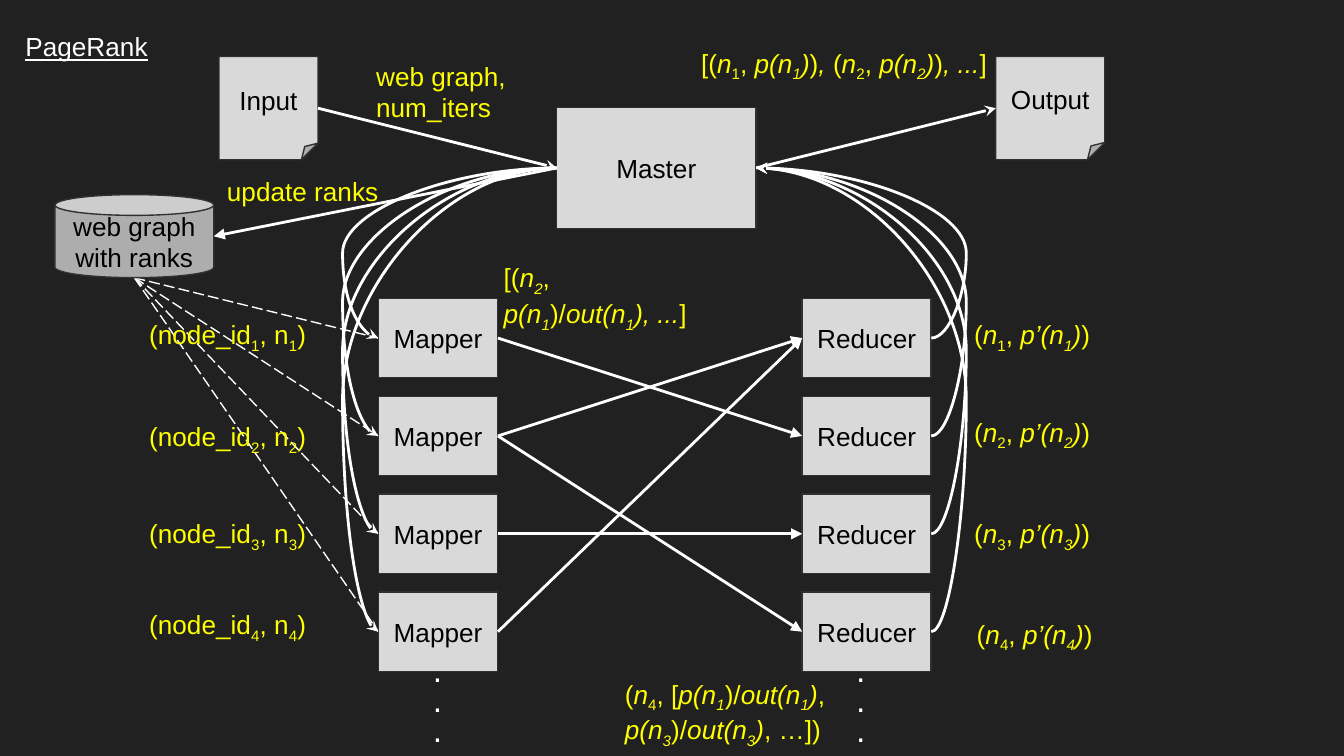
"""Build the PageRank map-reduce data flow slide."""
import itertools
from dataclasses import dataclass

import lxml.etree
import pptx
import pptx.dml.color
import pptx.enum.dml
import pptx.enum.shapes
import pptx.enum.text
import pptx.oxml.ns
import pptx.util

Cm, Pt, qn = pptx.util.Cm, pptx.util.Pt, pptx.oxml.ns.qn
ALIGN, ANCHOR = pptx.enum.text.PP_ALIGN, pptx.enum.text.MSO_ANCHOR
PRESET, ROUTE = pptx.enum.shapes.MSO_SHAPE, pptx.enum.shapes.MSO_CONNECTOR

COLORS = {
    "background": "212121",
    "node": "D9D9D9",
    "store": "ADADAD",
    "outline": "303030",
    "dark": "000000",
    "light": "FFFFFF",
    "label": "FFFF00",
}


@dataclass(frozen=True)
class Node:
    text: str
    left: float
    top: float
    width: float
    height: float
    preset: PRESET = PRESET.RECTANGLE
    fill: str = "node"

    @property
    def middle(self) -> float:
        return self.top + self.height / 2

    @property
    def west(self) -> tuple[float, float]:
        return self.left, self.middle

    @property
    def east(self) -> tuple[float, float]:
        return self.left + self.width, self.middle

    @property
    def south(self) -> tuple[float, float]:
        return self.left + self.width / 2, self.top + self.height


@dataclass(frozen=True)
class Label:
    text: str
    left: float
    top: float
    width: float
    height: float = 1.14


def rgb(name: str) -> pptx.dml.color.RGBColor:
    return pptx.dml.color.RGBColor.from_string(COLORS[name])


def marked_characters(text: str):
    """Yield characters with their style: * toggles italic, ~ lowers the next one."""
    italic = lowered = False
    for character in text:
        if character == "*":
            italic = not italic
        elif character == "~":
            lowered = True
        else:
            yield character, (italic, lowered)
            lowered = False


def write_text(frame, text: str, *, color: str = "label", size: float = 14,
               align=ALIGN.LEFT, anchor=ANCHOR.TOP, underline: bool = False,
               spacing: float = 1.0) -> None:
    frame.word_wrap = True
    frame.auto_size = pptx.enum.text.MSO_AUTO_SIZE.NONE
    frame.vertical_anchor = anchor
    frame.margin_left = frame.margin_right = Cm(0.25)
    frame.margin_top = frame.margin_bottom = Cm(0.25)
    for index, line in enumerate(text.split("\n")):
        paragraph = frame.add_paragraph() if index else frame.paragraphs[0]
        paragraph.alignment = align
        paragraph.line_spacing = spacing
        for style, group in itertools.groupby(marked_characters(line), lambda pair: pair[1]):
            italic, lowered = style
            run = paragraph.add_run()
            run.text = "".join(character for character, _ in group)
            run.font.name = "Arial"
            run.font.size = Pt(size)
            run.font.italic = italic
            run.font.underline = underline
            run.font.color.rgb = rgb(color)
            if lowered:
                run._r.get_or_add_rPr().set("baseline", "-25000")


def draw_node(slide, node: Node) -> None:
    shape = slide.shapes.add_shape(
        node.preset, Cm(node.left), Cm(node.top), Cm(node.width), Cm(node.height))
    shape.shadow.inherit = False
    shape.fill.solid()
    shape.fill.fore_color.rgb = rgb(node.fill)
    shape.line.color.rgb = rgb("outline")
    shape.line.width = Pt(0.75)
    write_text(shape.text_frame, node.text, color="dark", align=ALIGN.CENTER,
               anchor=ANCHOR.MIDDLE)


def draw_label(slide, label: Label, **text_format) -> None:
    box = slide.shapes.add_textbox(
        Cm(label.left), Cm(label.top), Cm(label.width), Cm(label.height))
    write_text(box.text_frame, label.text, **text_format)


def draw_link(slide, start: tuple[float, float], end: tuple[float, float], *,
              head: str = "", dashed: bool = False, bend: float = 0,
              turned: bool = False) -> None:
    route = ROUTE.CURVE if bend else ROUTE.STRAIGHT
    first, last = (end, start) if turned else (start, end)
    link = slide.shapes.add_connector(route, *map(Cm, first + last))
    link.line.color.rgb = rgb("light")
    link.line.width = Pt(0.75 if dashed else 1.5)
    if dashed:
        link.line.dash_style = pptx.enum.dml.MSO_LINE.LONG_DASH
    properties = link._element.spPr
    if head:
        lxml.etree.SubElement(properties.find(qn("a:ln")), qn("a:tailEnd"), type=head)
    if turned:
        properties.find(qn("a:xfrm")).set("rot", "10800000")
    if bend:
        geometry = properties.find(qn("a:prstGeom"))
        guides = geometry.find(qn("a:avLst"))
        if guides is None:
            guides = lxml.etree.SubElement(geometry, qn("a:avLst"))
        lxml.etree.SubElement(guides, qn("a:gd"), name="adj1",
                              fmla=f"val {round(bend * 100000)}")
    lxml.etree.SubElement(properties, qn("a:effectLst"))


def worker_column(text: str, left: float, width: float) -> list[Node]:
    return [Node(text, left, 5.64 + 1.85 * row, width, 1.5) for row in range(4)]


def main() -> None:
    deck = pptx.Presentation()
    deck.slide_width, deck.slide_height = Cm(25.4), Cm(14.29)
    slide = deck.slides.add_slide(deck.slide_layouts[5])
    slide.background.fill.solid()
    slide.background.fill.fore_color.rgb = rgb("background")

    title = slide.shapes.title
    title.left, title.top, title.width, title.height = map(Cm, (0.23, 0.33, 3.3, 1.14))
    write_text(title.text_frame, "PageRank", color="light", underline=True)

    source = Node("Input", 4.14, 1.07, 1.87, 1.95, PRESET.FOLDED_CORNER)
    result = Node("Output", 18.82, 1.07, 2.06, 1.95, PRESET.FOLDED_CORNER)
    master = Node("Master", 10.52, 2.03, 3.77, 2.29)
    store = Node("web graph\nwith ranks", 1.04, 3.68, 3, 1.57, PRESET.CAN, "store")
    mappers = worker_column("Mapper", 7.15, 2.26)
    reducers = worker_column("Reducer", 15.16, 2.44)

    for mapper in mappers:
        draw_link(slide, store.south, mapper.west, dashed=True)
    for node in [source, result, master, *mappers, *reducers]:
        draw_node(slide, node)

    draw_link(slide, source.east, master.west, head="stealth")
    draw_link(slide, master.east, result.west, head="stealth")
    for mapper in mappers:
        draw_link(slide, master.west, mapper.west, head="stealth", bend=1.2)
    for reducer in reducers:
        draw_link(slide, reducer.east, master.east, head="stealth", bend=-0.2, turned=True)
    for sender, receiver in [(0, 1), (1, 0), (2, 2), (3, 0), (1, 3)]:
        draw_link(slide, mappers[sender].east, reducers[receiver].west, head="triangle")

    draw_node(slide, store)
    draw_link(slide, master.west, store.east, head="triangle")

    for left in (7.24, 15.24):
        draw_label(slide, Label(".\n.\n.", left, 12.19, 2.06, 2.08), color="light",
                   size=18, align=ALIGN.CENTER, spacing=0.75)

    labels = [
        Label("web graph, num_iters", 6.86, 0.89, 3),
        Label("update ranks", 4.04, 3.07, 4.09),
        Label("[(*n*~1, *p(n~1)*)*, *(*n*~2, *p(n~2)*)*, ...*]", 13, 0.64, 6.02),
        Label("[(*n~2*, *p(n~1*)/*out(n~1), ...*]", 9.27, 4.7, 4.8, 2.11),
        Label("(*n*~4, [*p(n~1*)/*out(n~1)*, *p(n~3*)/*out(n~3)*, …])",
              11.56, 12.57, 6.02, 2.11),
    ]
    for number, top in enumerate((5.77, 7.7, 9.53, 11.25), start=1):
        labels.append(Label(f"(node_id~{number}, n~{number})", 2.57, top, 4.25))
    for number, (left, top) in enumerate(
            [(18.16, 5.77), (18.16, 7.62), (18.16, 9.53), (18.21, 11.43)], start=1):
        labels.append(Label(f"(*n*~{number}, *p’(n~{number})*)", left, top, 6.02))
    for label in labels:
        draw_label(slide, label)

    deck.save("out.pptx")


main()
